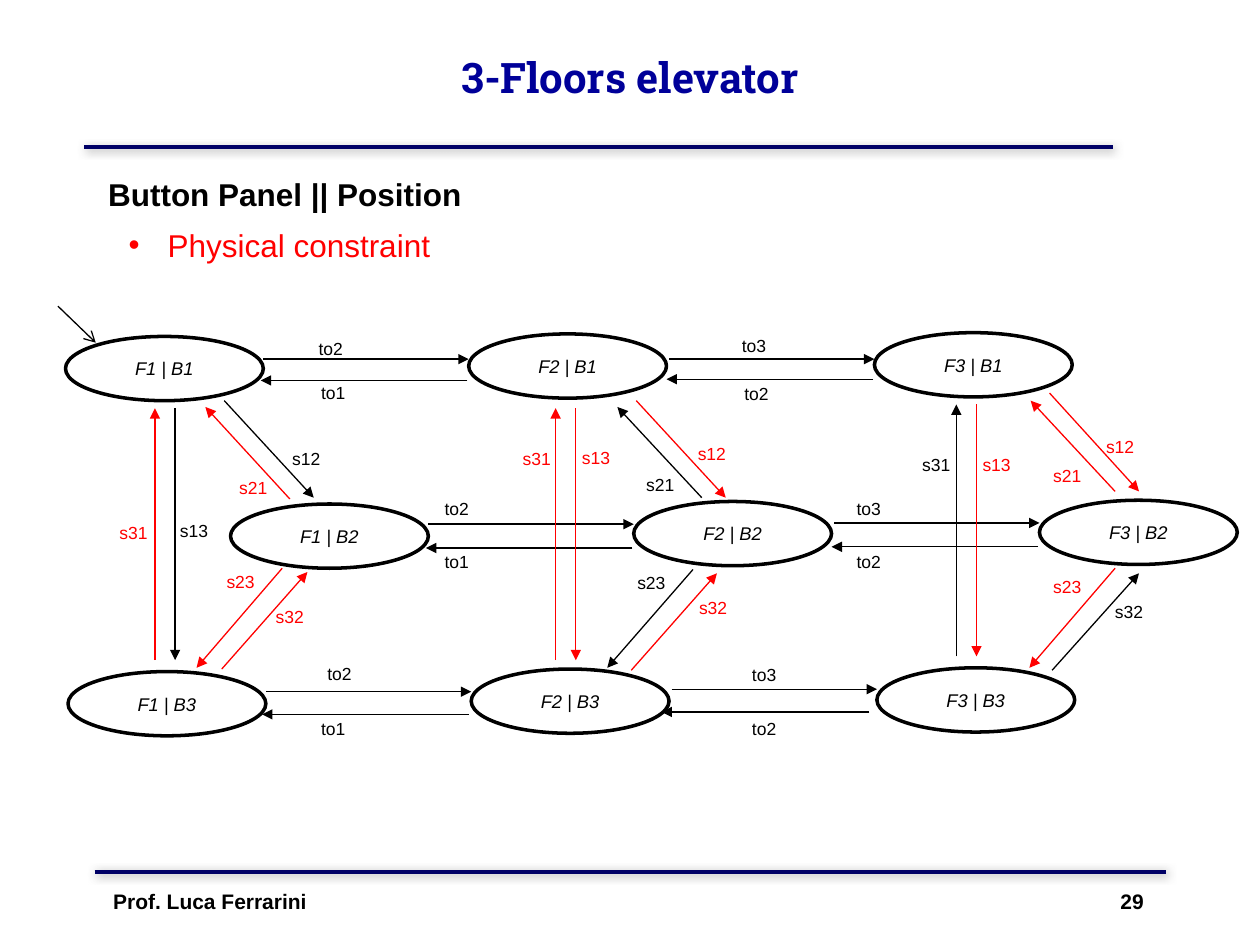
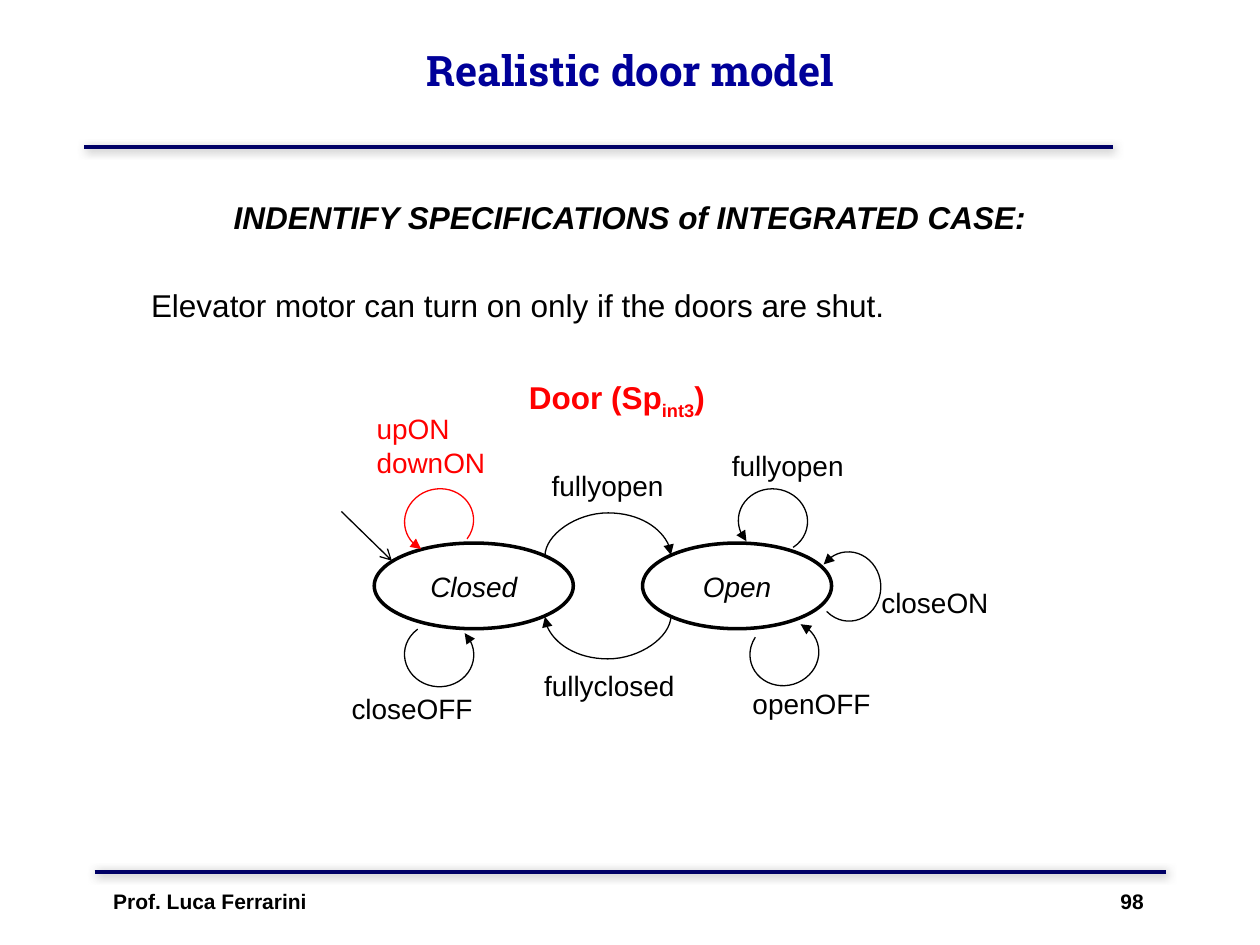
import pptx
import pptx.util
import pptx.dml.color
import pptx.enum.shapes
import pptx.enum.text
import pptx.oxml.ns
from lxml import etree

Inches = pptx.util.Inches
Pt = pptx.util.Pt
RGBColor = pptx.dml.color.RGBColor
MSO_SHAPE = pptx.enum.shapes.MSO_SHAPE
MSO_CONNECTOR = pptx.enum.shapes.MSO_CONNECTOR
MSO_ANCHOR = pptx.enum.text.MSO_ANCHOR
PP_ALIGN = pptx.enum.text.PP_ALIGN
qn = pptx.oxml.ns.qn

BLACK = RGBColor(0, 0, 0)
WHITE = RGBColor(255, 255, 255)
RED = RGBColor(255, 0, 0)
TITLE_BLUE = RGBColor(0, 0, 0x99)
RULE_BLUE = RGBColor(0, 0, 0x66)
CENTER = PP_ALIGN.CENTER


def write(sp, text, size, color=BLACK, align=None, anchor=None, **font):
    """Fill a shape with text (None keeps its runs) and format every run."""
    tf = sp.text_frame
    tf.word_wrap = True
    tf.auto_size = pptx.enum.text.MSO_AUTO_SIZE.NONE
    if anchor is not None:
        tf.vertical_anchor = anchor
    if text is not None:
        tf.text = text
    for p in tf.paragraphs:
        if align is not None:
            p.alignment = align
        for r in p.runs:
            r.font.color.rgb = color
            for key, value in {"name": "Arial", "size": Pt(size), **font}.items():
                setattr(r.font, key, value)


def draw_line(sp, color=BLACK, width=0.75, **ends):
    """Style an outline, add headEnd or tailEnd arrows; return its empty effect list."""
    sp.line.color.rgb = color
    sp.line.width = Pt(width)
    spPr = sp.element.spPr
    for end, kind in ends.items():
        etree.SubElement(spPr.find(qn("a:ln")), qn("a:" + end), type=kind)
    return etree.SubElement(spPr, qn("a:effectLst"))


prs = pptx.Presentation()
prs.slide_width, prs.slide_height = Inches(10), Inches(7.5)

# Shared frame: title, two rules with shadow, footer
slides = []
for title, number, layout, box in [
    ("3-Floors elevator", 29, 1, (0.75, -0.02, 8.5, 1.25)),
    ("Realistic door model", 98, 5, (0.92, -0.07, 8.17, 1.25)),
]:
    s = prs.slides.add_slide(prs.slide_layouts[layout])
    slides.append(s)
    sp = s.shapes.title
    sp.left, sp.top, sp.width, sp.height = map(Inches, box)
    write(sp, title, 24, TITLE_BLUE, CENTER, MSO_ANCHOR.MIDDLE, name="Roboto Slab", bold=True)

    for x1, x2, y in [(0.67, 8.83, 1.17), (0.75, 9.25, 6.92)]:
        rule = s.shapes.add_connector(MSO_CONNECTOR.STRAIGHT, *map(Inches, (x1, y, x2, y)))
        effects = draw_line(rule, RULE_BLUE, 2.25)
        shadow = etree.SubElement(effects, qn("a:outerShdw"), blurRad=str(Pt(5)),
                                  dist=str(Pt(1.4)), dir="2700000")
        tint = etree.SubElement(shadow, qn("a:srgbClr"), val="808080")
        etree.SubElement(tint, qn("a:alpha"), val="75000")

    footer = s.shapes.add_textbox(*map(Inches, (0.8, 7, 8.6, 0.5)))
    pPr = footer.text_frame.paragraphs[0]._p.get_or_add_pPr()
    tabs = etree.SubElement(pPr, qn("a:tabLst"))
    etree.SubElement(tabs, qn("a:tab"), pos=str(Inches(8.18)), algn="r")
    footer.text_frame.paragraphs[0].add_run().text = f"Prof. Luca Ferrarini\t{number}"
    write(footer, None, 12, bold=True)

# Elevator: buttons in parallel with position
s = slides[0]
heading = s.shapes.add_textbox(*map(Inches, (0.76, 1.34, 8.48, 0.4)))
write(heading, "Button Panel || Position", 18, bold=True)

body = s.placeholders[1]
body.left, body.top, body.width, body.height = map(Inches, (0.92, 1.74, 4.68, 0.4))
write(body, "Physical constraint", 18, RED)
p = body.text_frame.paragraphs[0]
p.space_before = Pt(0)
pPr = p._p.get_or_add_pPr()
pPr.set("marL", str(Inches(0.31)))
pPr.set("indent", str(-Inches(0.31)))
etree.SubElement(pPr, qn("a:buFont"), typeface="Arial")
etree.SubElement(pPr, qn("a:buChar"), char="•")

for floor, dx, dy in [(1, 0, 0), (2, 3.2, -0.02), (3, 6.42, -0.03)]:
    for button, x, y in [(1, 0.52, 2.67), (2, 1.83, 4), (3, 0.54, 5.33)]:
        state = s.shapes.add_shape(MSO_SHAPE.OVAL, *map(Inches, (x + dx, y + dy, 1.57, 0.51)))
        state.fill.solid()
        state.fill.fore_color.rgb = WHITE
        draw_line(state, width=2)
        write(state, f"F{floor} | B{button}", 10.5, align=CENTER, anchor=MSO_ANCHOR.MIDDLE,
              italic=True)

start = s.shapes.add_connector(MSO_CONNECTOR.STRAIGHT, *map(Inches, (0.46, 2.43, 0.76, 2.72)))
draw_line(start, tailEnd="arrow")

# Floor left, event, arrow, label position
events = [
    (1, "to2", (2.09, 2.85, 3.72, 2.85), (2.43, 2.63)),
    (1, "to1", (3.71, 3.02, 2.07, 3.02), (2.45, 2.98)),
    (1, "to2", (3.4, 4.16, 5.03, 4.16), (3.43, 3.9)),
    (1, "to1", (5.02, 4.35, 3.38, 4.35), (3.43, 4.32)),
    (1, "to2", (2.11, 5.49, 3.74, 5.49), (2.5, 5.21)),
    (1, "to1", (3.72, 5.67, 2.08, 5.67), (2.45, 5.65)),
    (2, "to3", (5.31, 2.85, 6.94, 2.85), (5.79, 2.61)),
    (2, "to2", (6.93, 3.01, 5.29, 3.01), (5.81, 2.99)),
    (2, "to3", (6.62, 4.15, 8.25, 4.15), (6.7, 3.9)),
    (2, "to2", (8.24, 4.34, 6.6, 4.34), (6.7, 4.32)),
    (2, "to3", (5.33, 5.47, 6.96, 5.47), (5.87, 5.22)),
    (2, "to2", (6.9, 5.65, 5.25, 5.65), (5.87, 5.65)),
    (1, "s31", (1.23, 5.24, 1.23, 3.24), (0.85, 4.09)),
    (1, "s13", (1.39, 3.24, 1.39, 5.24), (1.33, 4.08)),
    (1, "s12", (1.78, 3.18, 2.49, 3.95), (2.22, 3.51)),
    (1, "s21", (2.3, 3.96, 1.63, 3.23), (1.8, 3.74)),
    (1, "s23", (2.24, 4.51, 1.56, 5.3), (1.7, 4.48)),
    (1, "s32", (1.76, 5.31, 2.44, 4.54), (2.09, 4.76)),
    (2, "s31", (4.41, 5.24, 4.41, 3.24), (4.05, 3.51)),
    (2, "s13", (4.57, 3.24, 4.57, 5.24), (4.52, 3.5)),
    (2, "s12", (5.05, 3.18, 5.76, 3.95), (5.44, 3.47)),
    (2, "s21", (5.57, 3.95, 4.9, 3.23), (5.03, 3.71)),
    (2, "s23", (5.5, 4.52, 4.82, 5.3), (4.96, 4.49)),
    (2, "s32", (5.01, 5.32, 5.69, 4.55), (5.45, 4.69)),
    (3, "s31", (7.59, 5.21, 7.59, 3.21), (7.22, 3.55)),
    (3, "s13", (7.75, 3.21, 7.75, 5.21), (7.7, 3.55)),
    (3, "s12", (8.33, 3.12, 9.04, 3.9), (8.68, 3.41)),
    (3, "s21", (8.85, 3.9, 8.18, 3.18), (8.26, 3.64)),
    (3, "s23", (8.85, 4.51, 8.17, 5.3), (8.26, 4.52)),
    (3, "s32", (8.35, 5.32, 9.04, 4.55), (8.75, 4.72)),
]
for floor, event, ends, place in events:
    # A move that does not start at the current floor is physically impossible
    color = BLACK if event.startswith(("to", f"s{floor}")) else RED
    arrow = s.shapes.add_connector(MSO_CONNECTOR.STRAIGHT, *map(Inches, ends))
    draw_line(arrow, color, tailEnd="triangle")
    label = s.shapes.add_textbox(*map(Inches, (*place, 0.5, 0.28)))
    write(label, event, 10, color)

# Door specification
s = slides[1]
heading = s.shapes.add_textbox(*map(Inches, (0.68, 1.52, 8.64, 0.4)))
write(heading, "INDENTIFY SPECIFICATIONS of INTEGRATED CASE:", 18, align=CENTER,
      bold=True, italic=True)
requirement = s.shapes.add_textbox(*map(Inches, (1.1, 1.92, 7.79, 1.01)))
write(requirement, "Elevator motor can turn on only if the doors are shut.", 18)
requirement.text_frame.paragraphs[0].line_spacing = 2.0

door = s.shapes.add_textbox(*map(Inches, (4.1, 2.95, 1.7, 0.4)))
p = door.text_frame.paragraphs[0]
for part in ("Door (Sp", "int3", ")"):
    p.add_run().text = part
write(door, None, 18, RED, bold=True)
p.runs[1]._r.get_or_add_rPr().set("baseline", "-25000")

for name, x, width in [("Closed", 2.97, 1.58), ("Open", 5.1, 1.5)]:
    state = s.shapes.add_shape(MSO_SHAPE.OVAL, *map(Inches, (x, 4.31, width, 0.68)))
    state.fill.solid()
    state.fill.fore_color.rgb = WHITE
    draw_line(state, width=2)
    write(state, name, 16, align=CENTER, anchor=MSO_ANCHOR.MIDDLE, italic=True)

start = s.shapes.add_connector(MSO_CONNECTOR.STRAIGHT, *map(Inches, (2.71, 4.06, 3.11, 4.45)))
draw_line(start, tailEnd="arrow")

# Opening and closing curves: a quarter turn, bulging 35 times their 0.01 width
for ends in [(4.83, 4.91, 4.82, 3.91), (4.82, 4.39, 4.83, 5.39)]:
    curve = s.shapes.add_connector(MSO_CONNECTOR.CURVE, *map(Inches, ends))
    draw_line(curve, tailEnd="triangle")
    spPr = curve.element.spPr
    spPr.find(qn("a:xfrm")).set("rot", "5400000")
    guides = spPr.find(qn("a:prstGeom")).find(qn("a:avLst"))
    etree.SubElement(guides, qn("a:gd"), name="adj1", fmla="val 3500000")

for x, y, turn, color in [
    (6.46, 4.4, 85.5, BLACK),
    (5.95, 4.93, 163.1, BLACK),
    (3.21, 4.94, 183.9, BLACK),
    (5.86, 3.88, 6.7, BLACK),
    (3.21, 3.88, 346.7, RED),
]:
    loop = s.shapes.add_shape(MSO_SHAPE.ARC, *map(Inches, (x, y, 0.55, 0.51)))
    loop.adjustments[0], loop.adjustments[1] = 81.6, 27.6
    loop.rotation = turn
    loop.fill.background()
    draw_line(loop, color, headEnd="triangle")

for event, box, color, align in [
    ("fullyopen", (4.28, 3.67, 1.12, 0.37), BLACK, None),
    ("fullyclosed", (4.22, 5.26, 1.26, 0.37), BLACK, None),
    ("fullyopen", (5.71, 3.51, 1.25, 0.37), BLACK, None),
    ("closeOFF", (2.63, 5.44, 1.28, 0.37), BLACK, CENTER),
    ("openOFF", (5.8, 5.4, 1.28, 0.37), BLACK, CENTER),
    ("closeON", (6.78, 4.6, 1.28, 0.37), BLACK, CENTER),
    ("upON\ndownON", (2.89, 3.22, 1.12, 0.64), RED, None),
]:
    write(s.shapes.add_textbox(*map(Inches, box)), event, 16, color, align)

prs.save("out.pptx")
